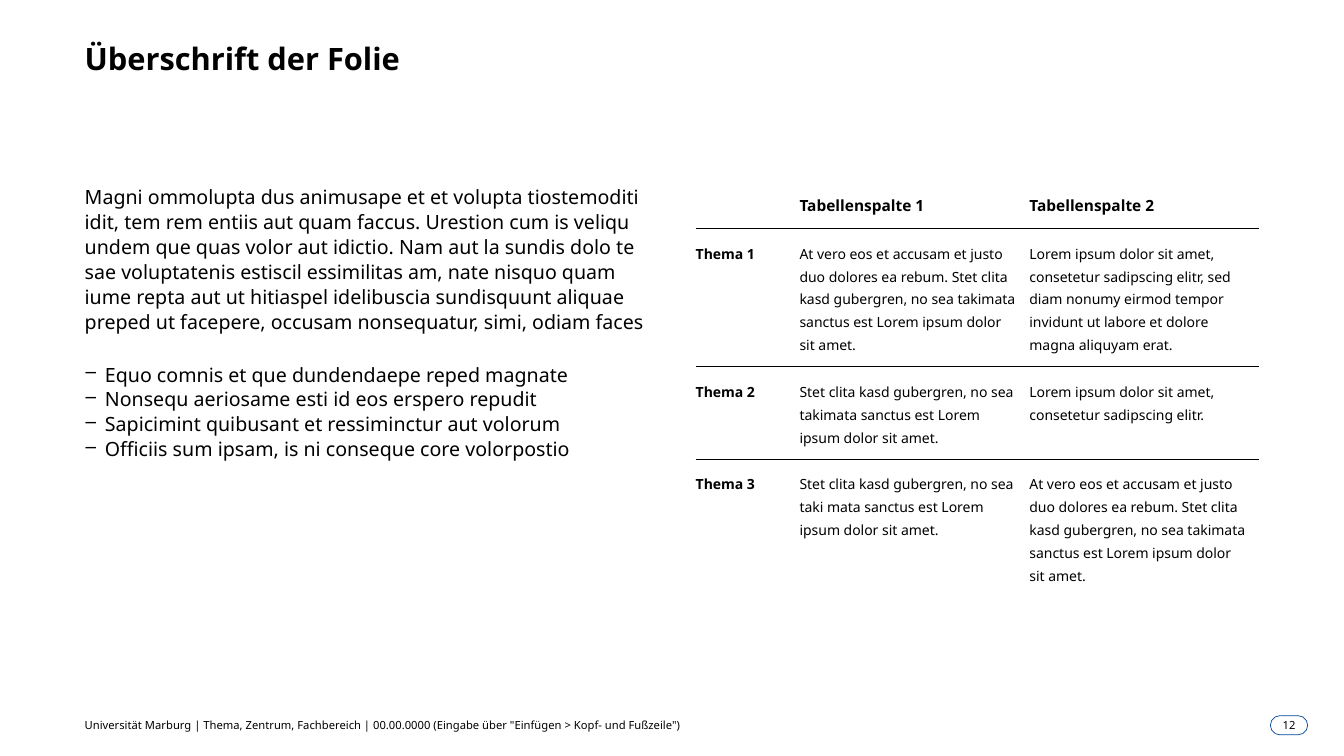
from lxml.etree import SubElement
from pptx import Presentation
from pptx.dml.color import RGBColor
from pptx.enum.shapes import MSO_SHAPE
from pptx.enum.text import MSO_ANCHOR, MSO_AUTO_SIZE, PP_ALIGN
from pptx.oxml import parse_xml
from pptx.oxml.ns import nsdecls, qn
from pptx.util import Inches, Pt

BLACK = RGBColor(0x00, 0x00, 0x00)
BLUE = RGBColor(0x00, 0x48, 0x99)
FONT = "Noto Sans"
NO_STYLE = "{2D5ABB26-0587-4C30-8999-92F81FD0307C}"

TITLE = "Überschrift der Folie"
INTRO = (
    "Magni ommolupta dus animusape et et volupta tiostemoditi idit, tem rem entiis "
    "aut quam faccus. Urestion cum is veliqu \vundem que quas volor aut idictio. "
    "Nam aut la sundis dolo te sae voluptatenis estiscil essimilitas am, nate nisquo "
    "quam \viume repta aut ut hitiaspel idelibuscia sundisquunt aliquae preped ut "
    "facepere, occusam nonsequatur, simi, odiam faces"
)
BULLETS = [
    "Equo comnis et que dundendaepe reped magnate",
    "Nonsequ aeriosame esti id eos erspero repudit",
    "Sapicimint quibusant et ressiminctur aut volorum",
    "Officiis sum ipsam, is ni conseque core volorpostio",
]
AT_VERO = (
    "At vero eos et accusam et justo duo dolores ea rebum. Stet clita kasd gubergren, "
    "no sea takimata sanctus est Lorem ipsum dolor sit amet."
)
TABLE_ROWS = [
    ["", "Tabellenspalte 1", "Tabellenspalte 2"],
    [
        "Thema 1",
        AT_VERO,
        "Lorem ipsum dolor sit amet, consetetur sadipscing elitr, sed diam nonumy "
        "eirmod tempor invidunt ut labore et dolore magna aliquyam erat.",
    ],
    [
        "Thema 2",
        "Stet clita kasd gubergren, no sea \vtakimata sanctus est Lorem ipsum dolor sit amet.",
        "Lorem ipsum dolor sit amet, consetetur sadipscing elitr.",
    ],
    [
        "Thema 3",
        "Stet clita kasd gubergren, no sea taki mata sanctus est Lorem ipsum dolor sit amet.",
        AT_VERO,
    ],
]
COLUMN_WIDTHS = [1.03, 2.28, 2.28]
ROW_HEIGHTS = [0.44, 1.37, 0.91, 1.37]
FOOTER = (
    "Universität Marburg | Thema, Zentrum, Fachbereich | 00.00.0000 "
    '(Eingabe über "Einfügen > Kopf- und Fußzeile")'
)


def set_attributes(target, values):
    for name, value in values.items():
        setattr(target, name, value)


def write(paragraph, text, size, bold=False, **paragraph_format):
    paragraph.text = text
    set_attributes(paragraph, paragraph_format)
    for run in paragraph.runs:
        set_attributes(run.font, {"name": FONT, "size": Pt(size), "bold": bold})
        run.font.color.rgb = BLACK


def prepare_frame(frame, anchor=MSO_ANCHOR.TOP, wrap=True):
    set_attributes(frame, {
        "margin_left": 0,
        "margin_right": 0,
        "margin_top": 0,
        "margin_bottom": 0,
        "auto_size": MSO_AUTO_SIZE.NONE,
        "word_wrap": wrap,
        "vertical_anchor": anchor,
    })


def add_dash(paragraph):
    properties = paragraph._p.get_or_add_pPr()
    properties.set("marL", str(Inches(0.2)))
    properties.set("indent", str(-Inches(0.2)))
    SubElement(properties, qn("a:buChar")).set("char", "‒")


def add_title(slide, left, top, width, height):
    title = slide.shapes.title
    set_attributes(title, {"left": left, "top": top, "width": width, "height": height})
    prepare_frame(title.text_frame)
    write(title.text_frame.paragraphs[0], TITLE, 22, True,
          alignment=PP_ALIGN.LEFT, line_spacing=1.1)


def add_body(slide, left, top, width, height):
    frame = slide.shapes.add_textbox(left, top, width, height).text_frame
    prepare_frame(frame)
    write(frame.paragraphs[0], INTRO, 14, line_spacing=1.06)
    for index, bullet in enumerate(BULLETS):
        paragraph = frame.add_paragraph()
        add_dash(paragraph)
        write(paragraph, bullet, 14, line_spacing=1.06,
              space_before=Pt(0 if index else 20))


def add_border(cell, side):
    cell._tc.get_or_add_tcPr().insert(0, parse_xml(
        f'<a:{side} {nsdecls("a")} w="{Pt(0.5)}"><a:solidFill>'
        f'<a:srgbClr val="{BLACK}"/></a:solidFill></a:{side}>'
    ))


def fill_cell(cell, text, row, column):
    cell.fill.background()
    set_attributes(cell, {
        "margin_left": 0,
        "margin_right": Inches(0.1),
        "margin_top": Inches(0.12),
        "margin_bottom": Inches(0.12),
        "vertical_anchor": MSO_ANCHOR.TOP,
    })
    size = 10 if row else 11
    paragraph = cell.text_frame.paragraphs[0]
    write(paragraph, text, size, row == 0 or column == 0,
          line_spacing=1.2 if row else 1.0)
    if not text:
        paragraph._p.get_or_add_endParaRPr().set("sz", str(size * 100))
    if row < len(TABLE_ROWS) - 1:
        add_border(cell, "lnB")
    if row:
        add_border(cell, "lnT")


def add_topic_table(slide, left, top, width):
    table = slide.shapes.add_table(
        len(TABLE_ROWS), len(COLUMN_WIDTHS), left, top, width, Inches(sum(ROW_HEIGHTS))
    ).table
    set_attributes(table, {"first_row": False, "horz_banding": False})
    table._tbl.tblPr.find(qn("a:tableStyleId")).text = NO_STYLE
    for column, column_width in zip(table.columns, COLUMN_WIDTHS):
        column.width = Inches(column_width)
    for row, row_height in zip(table.rows, ROW_HEIGHTS):
        row.height = Inches(row_height)
    for row, texts in enumerate(TABLE_ROWS):
        for column, text in enumerate(texts):
            fill_cell(table.cell(row, column), text, row, column)


def add_footer(slide, left, top, width, height):
    footer = slide.shapes.add_textbox(left, top, width, height)
    prepare_frame(footer.text_frame, MSO_ANCHOR.MIDDLE)
    write(footer.text_frame.paragraphs[0], FOOTER, 8)

    badge = slide.shapes.add_shape(
        MSO_SHAPE.ROUNDED_RECTANGLE, left + width + Inches(0.1), top, Inches(0.37), height
    )
    badge.adjustments[0] = 0.5
    badge.shadow.inherit = False
    badge.fill.background()
    badge.line.color.rgb = BLUE
    badge.line.width = Pt(0.5)
    prepare_frame(badge.text_frame, MSO_ANCHOR.MIDDLE, False)
    write(badge.text_frame.paragraphs[0], "12", 8, alignment=PP_ALIGN.CENTER)


def main():
    presentation = Presentation()
    presentation.slide_width = Inches(13.33)
    presentation.slide_height = Inches(7.5)
    slide = presentation.slides.add_slide(presentation.slide_layouts[5])
    left, content_top = Inches(0.84), Inches(1.82)
    full_width, half_width = Inches(11.66), Inches(5.59)
    add_title(slide, left, Inches(0.36), full_width, Inches(0.98))
    add_body(slide, left, content_top, half_width, Inches(4.92))
    add_topic_table(slide, Inches(6.9), content_top, half_width)
    add_footer(slide, left, Inches(7.1), full_width, Inches(0.19))
    presentation.save("out.pptx")


if __name__ == "__main__":
    main()
